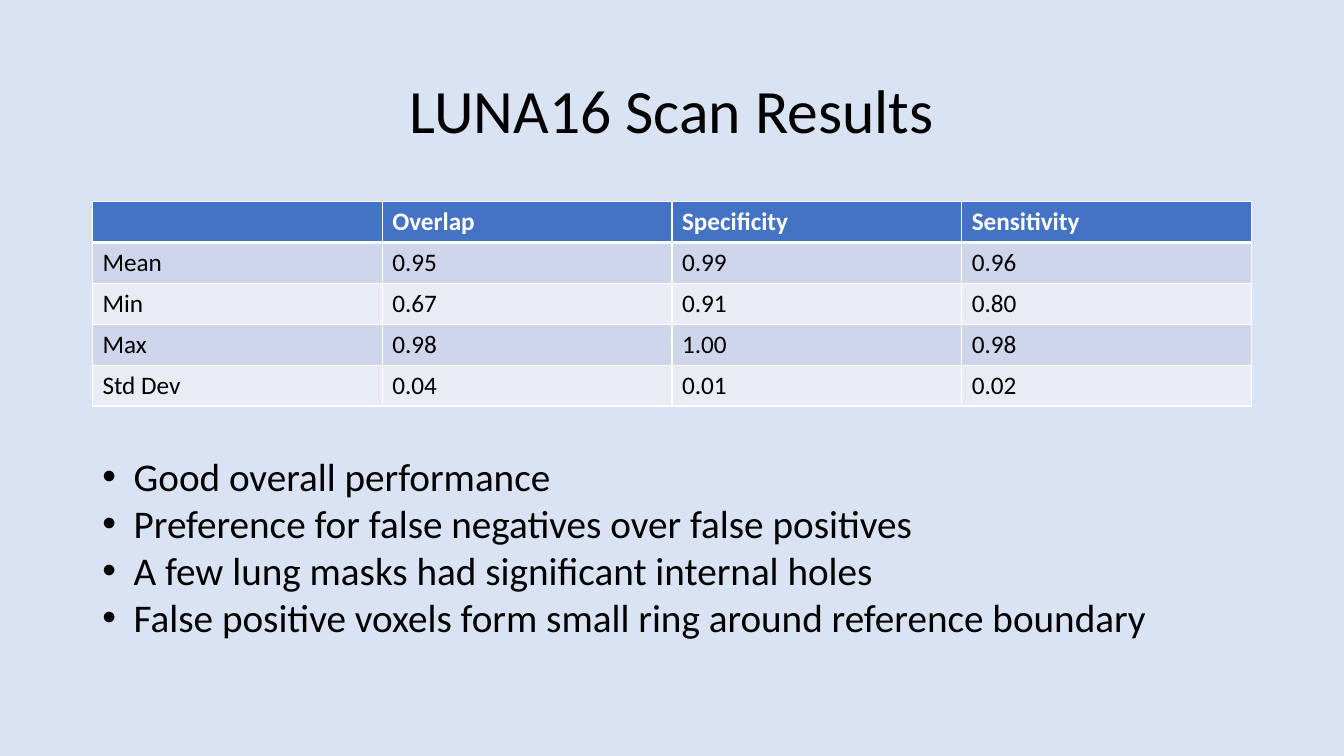
"""Build the LUNA16 scan results slide with its table and findings."""
import dataclasses
from typing import Any

import lxml.etree
import pptx
import pptx.dml.color
import pptx.enum.text
import pptx.oxml.ns
import pptx.util

Cm = pptx.util.Cm
COLORS = {
    "background": "DAE3F3",
    "text": "000000",
    "white": "FFFFFF",
    "header": "4472C4",
    "odd_row": "CFD5EA",
    "even_row": "E9EBF5",
}
FONT = "Calibri"
LEFT = 2.33
ROW_HEIGHT = 1.03
TABLE_WIDTH = 29.21
RESULTS = [
    ["", "Overlap", "Specificity", "Sensitivity"],
    ["Mean", "0.95", "0.99", "0.96"],
    ["Min", "0.67", "0.91", "0.80"],
    ["Max", "0.98", "1.00", "0.98"],
    ["Std Dev", "0.04", "0.01", "0.02"],
]


@dataclasses.dataclass(frozen=True)
class TextBlock:
    lines: tuple[str, ...]
    top: float
    width: float
    height: float
    size: int
    anchor: Any = pptx.enum.text.MSO_ANCHOR.TOP
    align: Any = pptx.enum.text.PP_ALIGN.LEFT
    spacing: float = 1.0
    bulleted: bool = False


TEXT_BLOCKS = [
    TextBlock(
        ("LUNA16 Scan Results",), 1.01, TABLE_WIDTH, 3.68, 44,
        anchor=pptx.enum.text.MSO_ANCHOR.MIDDLE,
        align=pptx.enum.text.PP_ALIGN.CENTER,
        spacing=0.9,
    ),
    TextBlock(
        (
            "Good overall performance",
            "Preference for false negatives over false positives",
            "A few lung masks had significant internal holes",
            "False positive voxels form small ring around reference boundary",
        ),
        11.28, 29.34, 5.82, 28, bulleted=True,
    ),
]


def rgb(name: str) -> pptx.dml.color.RGBColor:
    return pptx.dml.color.RGBColor.from_string(COLORS[name])


def write_text(para: Any, text: str, *, size: int, color: str = "text", bold: bool = False) -> None:
    para.font.size = pptx.util.Pt(size)
    if text:
        span = para.add_run()
        span.text = text
        span.font.name = FONT
        span.font.size = pptx.util.Pt(size)
        span.font.bold = bold
        span.font.color.rgb = rgb(color)


def add_bullet(para: Any) -> None:
    indent = Cm(0.79)
    properties = para._p.get_or_add_pPr()
    properties.set("marL", str(indent))
    properties.set("indent", str(-indent))
    font = lxml.etree.SubElement(properties, pptx.oxml.ns.qn("a:buFont"))
    font.set("typeface", "Arial")
    bullet = lxml.etree.SubElement(properties, pptx.oxml.ns.qn("a:buChar"))
    bullet.set("char", "•")


def add_text_block(page: Any, block: TextBlock) -> None:
    box = page.shapes.add_textbox(Cm(LEFT), Cm(block.top), Cm(block.width), Cm(block.height))
    frame = box.text_frame
    frame.word_wrap = True
    frame.vertical_anchor = block.anchor
    for index, line in enumerate(block.lines):
        para = frame.add_paragraph() if index else frame.paragraphs[0]
        para.alignment = block.align
        para.line_spacing = block.spacing
        if block.bulleted:
            add_bullet(para)
        write_text(para, line, size=block.size)


def add_borders(cell: Any, widths: dict[str, int]) -> None:
    properties = cell._tc.get_or_add_tcPr()
    for side, width in widths.items():
        line = lxml.etree.SubElement(properties, pptx.oxml.ns.qn(f"a:ln{side}"))
        line.set("w", str(pptx.util.Pt(width)))
        fill = lxml.etree.SubElement(line, pptx.oxml.ns.qn("a:solidFill"))
        color = lxml.etree.SubElement(fill, pptx.oxml.ns.qn("a:srgbClr"))
        color.set("val", COLORS["white"])


def add_results_table(page: Any, rows: list[list[str]]) -> None:
    table = page.shapes.add_table(
        len(rows), len(rows[0]), Cm(LEFT), Cm(5.08),
        Cm(TABLE_WIDTH), Cm(ROW_HEIGHT * len(rows)),
    ).table
    for row_index, values in enumerate(rows):
        header = row_index == 0
        fill = "header" if header else "odd_row" if row_index % 2 else "even_row"
        widths = {"L": 1, "R": 1, "T": 3 if row_index == 1 else 1, "B": 3 if header else 1}
        for column_index, value in enumerate(values):
            cell = table.cell(row_index, column_index)
            add_borders(cell, widths)
            cell.fill.solid()
            cell.fill.fore_color.rgb = rgb(fill)
            write_text(
                cell.text_frame.paragraphs[0], value, size=18,
                color="white" if header else "text", bold=header,
            )


def main() -> None:
    deck = pptx.Presentation()
    deck.slide_width, deck.slide_height = Cm(33.87), Cm(19.05)
    page = deck.slides.add_slide(deck.slide_layouts[6])
    page.background.fill.solid()
    page.background.fill.fore_color.rgb = rgb("background")
    add_results_table(page, RESULTS)
    for block in TEXT_BLOCKS:
        add_text_block(page, block)
    deck.save("out.pptx")


if __name__ == "__main__":
    main()
